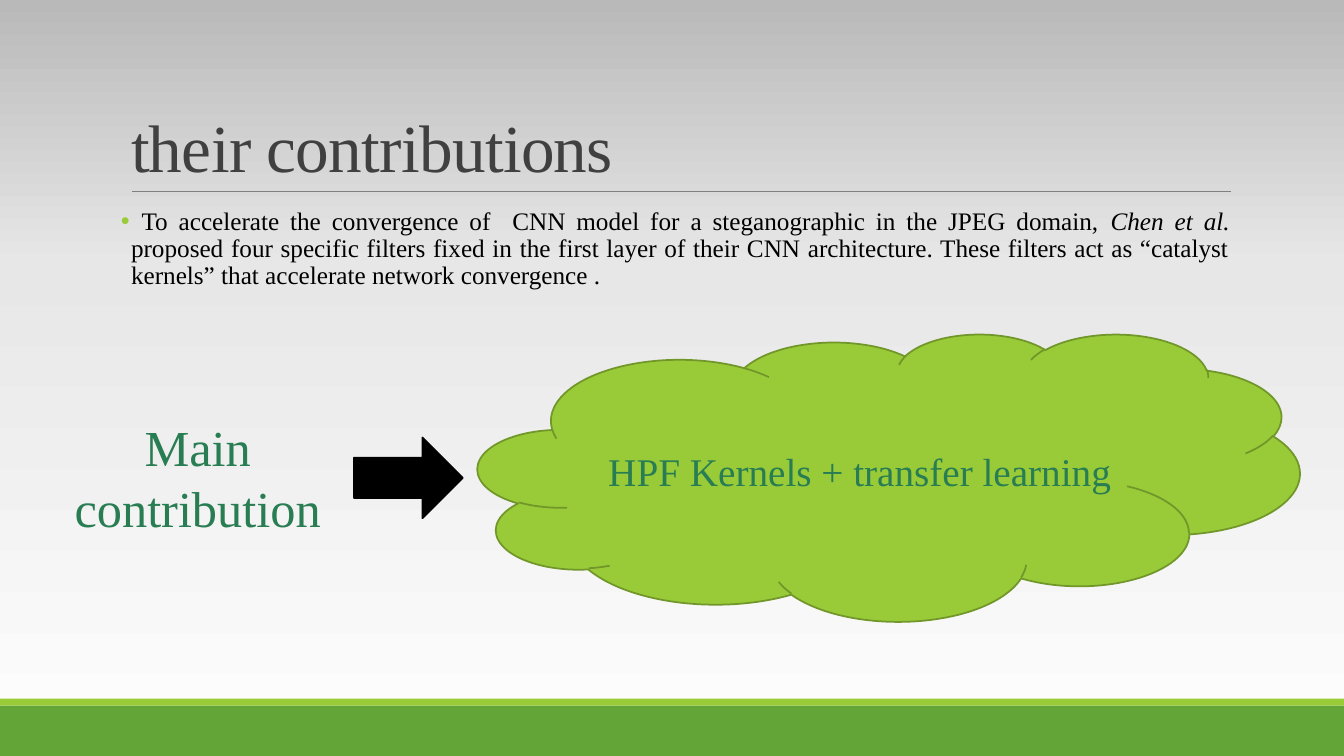
from lxml import etree
from pptx import Presentation
from pptx.dml.color import RGBColor
from pptx.enum.shapes import MSO_CONNECTOR, MSO_SHAPE
from pptx.enum.text import MSO_ANCHOR, MSO_AUTO_SIZE, PP_ALIGN
from pptx.oxml.ns import qn
from pptx.util import Inches, Pt

RECTANGLE, CLOUD, ARROW = MSO_SHAPE.RECTANGLE, MSO_SHAPE.CLOUD, MSO_SHAPE.RIGHT_ARROW
STRAIGHT = MSO_CONNECTOR.STRAIGHT
LEFT, CENTER, JUSTIFY = PP_ALIGN.LEFT, PP_ALIGN.CENTER, PP_ALIGN.JUSTIFY
TOP, MIDDLE, BOTTOM = MSO_ANCHOR.TOP, MSO_ANCHOR.MIDDLE, MSO_ANCHOR.BOTTOM
NO_FIT, GROW = MSO_AUTO_SIZE.NONE, MSO_AUTO_SIZE.SHAPE_TO_FIT_TEXT

WIDTH, HEIGHT = Inches(13.33), Inches(7.5)
FONT = "Times New Roman"
COLORS = {
    "green": "63A537", "lime": "99CB38", "olive": "719629", "emerald": "297D53",
    "title": "404040", "rule": "808080", "black": "000000",
}
BACKDROP = {0: "FEFEFE", 65: "E7E7E7", 100: "B9B9B9"}


def color(name):
    return RGBColor.from_string(COLORS[name])


def area(left, top, width, height):
    """Turn percentages of the slide into lengths."""
    return [int(size * share / 100) for share, size in
            zip((left, top, width, height), (WIDTH, HEIGHT) * 2)]


def apply(target, values):
    for name, value in values.items():
        setattr(target, name, value)


def place(box, *shares):
    apply(box, dict(zip(("left", "top", "width", "height"), area(*shares))))


def write(box, spans, size, tint, para_format, frame_format):
    """Fill a box with one paragraph of (text, font values) spans."""
    frame = box.text_frame
    apply(frame, {"word_wrap": True, **frame_format})
    para = frame.paragraphs[0]
    apply(para, para_format)
    for text, extra in spans:
        span = para.add_run()
        span.text = text
        apply(span.font, {"name": FONT, "size": Pt(size), **extra})
        span.font.color.rgb = color(tint)
    return para


def add_backdrop(page):
    fill = page.background.fill
    fill.gradient()
    fill.gradient_angle = 90
    stops = page._element.find(".//" + qn("a:gsLst"))
    for stop in list(stops):
        stops.remove(stop)
    for share, value in BACKDROP.items():
        stop = etree.SubElement(stops, qn("a:gs"), pos=str(share * 1000))
        etree.SubElement(stop, qn("a:srgbClr"), val=value)


def add_figure(page, kind, shares, fill, outline=None):
    shape = page.shapes.add_shape(kind, *area(*shares))
    shape.shadow.inherit = False
    shape.fill.solid()
    shape.fill.fore_color.rgb = color(fill)
    if outline:
        shape.line.color.rgb = color(outline)
        shape.line.width = Pt(1.25)
    else:
        shape.line.fill.background()
    return shape


def add_rule(page, left, right, top):
    start, level, end, _ = area(left, top, right, 0)
    rule = page.shapes.add_connector(STRAIGHT, start, level, end, level)
    rule.line.color.rgb = color("rule")
    rule.line.width = Pt(0.5)
    etree.SubElement(rule._element.spPr, qn("a:effectLst"))


def add_bullet(para, symbol, tint, indent):
    props = para._p.get_or_add_pPr()
    props.set("marL", str(indent))
    props.set("indent", str(-indent))
    holder = etree.SubElement(props, qn("a:buClr"))
    etree.SubElement(holder, qn("a:srgbClr"), val=COLORS[tint])
    etree.SubElement(props, qn("a:buChar"), char=symbol)


def main():
    deck = Presentation()
    apply(deck, {"slide_width": WIDTH, "slide_height": HEIGHT})
    page = deck.slides.add_slide(deck.slide_layouts[1])
    add_backdrop(page)

    # Footer bands and the rule below the title
    add_figure(page, RECTANGLE, (0, 93.33, 100, 6.67), "green")
    add_figure(page, RECTANGLE, (0, 92.4, 100, 0.93), "lime")
    add_rule(page, 9.83, 91.6, 25.33)

    # Title
    title = page.shapes.title
    place(title, 9, 4.13, 82.5, 21.2)
    para = write(title, [("their contributions", {})], 48, "title",
                 {"alignment": LEFT, "line_spacing": 0.85},
                 {"vertical_anchor": BOTTOM, "auto_size": NO_FIT})
    para.runs[0].font._element.set("spc", "-50")

    # Bulleted statement
    body = page.placeholders[1]
    place(body, 9, 26.93, 82.5, 58.67)
    spans = [
        (" To accelerate the convergence of  CNN model for a steganographic "
         "in the JPEG domain, ", {}),
        ("Chen et al.", {"italic": True}),
        (" proposed four specific filters fixed in the first layer of their CNN "
         "architecture. These filters act as “catalyst kernels” that accelerate "
         "network convergence .", {}),
    ]
    para = write(body, spans, 18, "black",
                 {"alignment": JUSTIFY, "line_spacing": 0.9,
                  "space_before": Pt(12), "space_after": Pt(2)},
                 {"vertical_anchor": TOP, "auto_size": NO_FIT,
                  "margin_left": 0, "margin_right": 0})
    add_bullet(para, "•", "lime", Inches(0.1))

    # Main contribution, arrow and cloud
    cloud = add_figure(page, CLOUD, (35.56, 44.13, 61.14, 38), "lime", "olive")
    write(cloud, [("HPF Kernels + transfer learning", {})], 28, "emerald",
          {"alignment": CENTER}, {"vertical_anchor": MIDDLE})
    add_figure(page, ARROW, (26.33, 57.87, 8.1, 10.67), "black", "black")
    label = page.shapes.add_textbox(*area(4.28, 54.4, 20.86, 17.47))
    write(label, [("Main contribution", {})], 36, "emerald",
          {"alignment": CENTER}, {"auto_size": GROW})

    deck.save("out.pptx")


if __name__ == "__main__":
    main()
